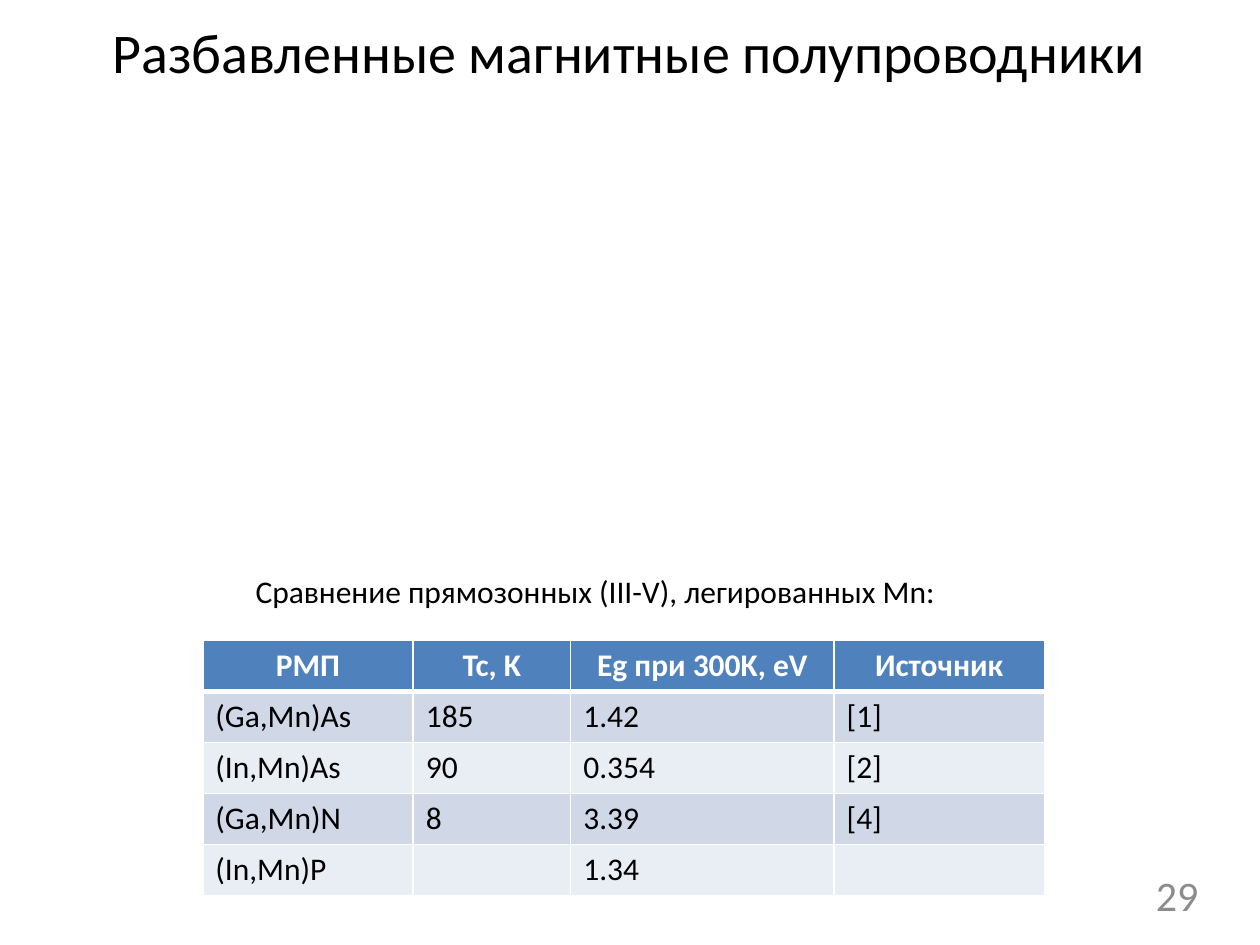
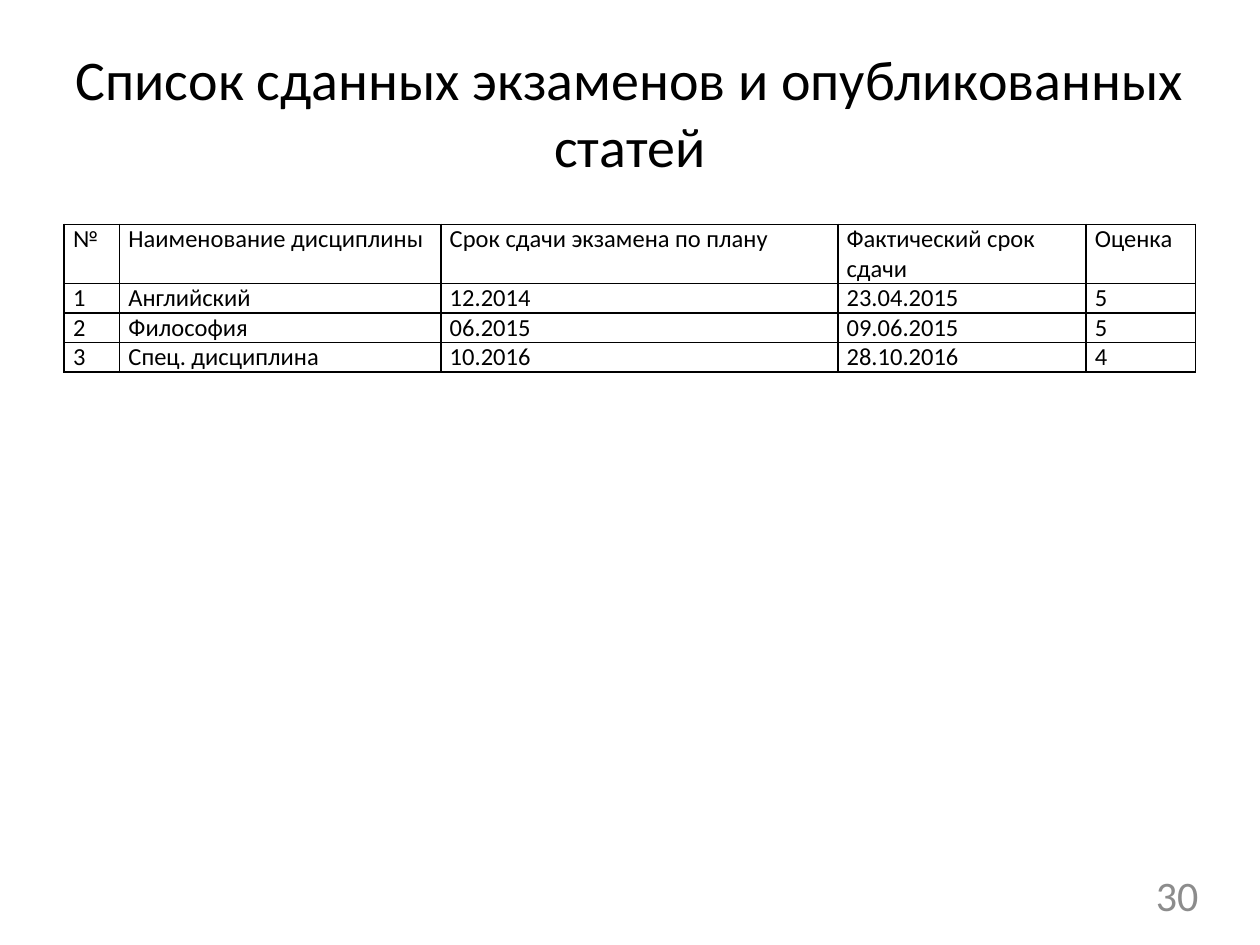
from lxml.etree import SubElement
from pptx import Presentation
from pptx.dml.color import RGBColor
from pptx.enum.text import MSO_ANCHOR, PP_ALIGN
from pptx.oxml.ns import qn
from pptx.util import Inches, Pt

BLACK = RGBColor(0x00, 0x00, 0x00)
WHITE = RGBColor(0xFF, 0xFF, 0xFF)
NUMBER_GREY = RGBColor(0x8C, 0x8C, 0x8C)
HEADER_BLUE = RGBColor(0x4F, 0x81, 0xBD)
BAND_DARK = RGBColor(0xD0, 0xD8, 0xE8)
BAND_LIGHT = RGBColor(0xE9, 0xED, 0xF4)

SLIDE_WIDTH, SLIDE_HEIGHT = Inches(10), Inches(7.5)
COLUMN, ROW = SLIDE_WIDTH / 100, SLIDE_HEIGHT / 75
NUMBER_AREA = (72.8, 69, 23.3, 4)

TITLE = {"size": Pt(32), "color": BLACK, "align": PP_ALIGN.CENTER}
NUMBER = {"size": Pt(24), "color": NUMBER_GREY, "align": PP_ALIGN.RIGHT}
CAPTION = {"size": Pt(18), "color": BLACK}
HEADER = {"size": Pt(18), "color": WHITE, "bold": True, "align": PP_ALIGN.CENTER}
EXAM = {"size": Pt(14), "color": BLACK}
EXAM_MARGINS = {"margin_left": Inches(0.07), "margin_right": Inches(0.07),
                "margin_top": 0, "margin_bottom": 0}
PLAIN_TABLE = {"first_row": False, "horz_banding": False}

SEMICONDUCTORS = [
    ("РМП", "Tc, K", "Eg при 300K, eV", "Источник"),
    ("(Ga,Mn)As", "185", "1.42", "[1]"),
    ("(In,Mn)As", "90", "0.354", "[2]"),
    ("(Ga,Mn)N", "8", "3.39", "[4]"),
    ("(In,Mn)P", "", "1.34", ""),
]
EXAMS = [
    ("№", "Наименование дисциплины", "Срок сдачи экзамена по плану",
     "Фактический срок сдачи", "Оценка"),
    ("1", "Английский", "12.2014", "23.04.2015", "5"),
    ("2", "Философия", "06.2015", "09.06.2015", "5"),
    ("3", "Спец. дисциплина", "10.2016", "28.10.2016", "4"),
]


def apply(target, values):
    for name, value in values.items():
        setattr(target, name, value)


def across(columns):
    return round(columns * COLUMN)


def down(rows):
    return round(rows * ROW)


def write(frame, text, look):
    paragraph = frame.paragraphs[0]
    paragraph.alignment = look.get("align", PP_ALIGN.LEFT)
    if text:
        run = paragraph.add_run()
        run.text = text
        apply(run.font, {"name": "Calibri", "size": look["size"],
                         "bold": look.get("bold", False)})
        run.font.color.rgb = look["color"]


def add_text(slide, text, area, look, anchor=MSO_ANCHOR.MIDDLE):
    left, top, width, height = area
    frame = slide.shapes.add_textbox(
        across(left), down(top), across(width), down(height)).text_frame
    apply(frame, {"word_wrap": True, "vertical_anchor": anchor})
    write(frame, text, look)


def add_slide(deck, title, title_area, number):
    slide = deck.slides.add_slide(deck.slide_layouts[6])
    add_text(slide, title, title_area, TITLE)
    add_text(slide, number, NUMBER_AREA, NUMBER)
    return slide


def add_borders(cell, color, widths):
    properties = cell._tc.get_or_add_tcPr()
    for side, width in widths.items():
        line = SubElement(properties, qn(f"a:ln{side}"), w=str(Pt(width)))
        fill = SubElement(line, qn("a:solidFill"))
        SubElement(fill, qn("a:srgbClr"), val=str(color))


def add_grid(slide, content, corner, widths, heights):
    left, top = corner
    table = slide.shapes.add_table(
        len(content), len(widths), across(left), down(top),
        across(sum(widths)), down(sum(heights))).table
    apply(table, PLAIN_TABLE)
    for column, width in zip(table.columns, widths):
        column.width = across(width)
    for row, height in zip(table.rows, heights):
        row.height = down(height)
    return table


def add_semiconductors(slide):
    table = add_grid(slide, SEMICONDUCTORS, (16.1, 50.8),
                     (16.7, 12.5, 20.9, 16.7), [4.06] * len(SEMICONDUCTORS))
    bands = (BAND_LIGHT, BAND_DARK)
    for index, values in enumerate(SEMICONDUCTORS):
        is_header = index == 0
        top = 3 if index == 1 else 1
        bottom = 3 if is_header else 1
        for cell, text in zip(table.rows[index].cells, values):
            add_borders(cell, WHITE, {"L": 1, "R": 1, "T": top, "B": bottom})
            cell.fill.solid()
            cell.fill.fore_color.rgb = HEADER_BLUE if is_header else bands[index % 2]
            write(cell.text_frame, text, HEADER if is_header else CAPTION)


def add_exams(slide):
    table = add_grid(slide, EXAMS, (5.1, 17.8),
                     (4.4, 25.5, 31.5, 19.7, 8.7), (4.7, 2.3, 2.3, 2.3))
    for row, values in zip(table.rows, EXAMS):
        for cell, text in zip(row.cells, values):
            add_borders(cell, BLACK, dict.fromkeys("LRTB", 1))
            cell.fill.background()
            apply(cell, EXAM_MARGINS)
            write(cell.text_frame, text, EXAM)


def main():
    deck = Presentation()
    apply(deck, {"slide_width": SLIDE_WIDTH, "slide_height": SLIDE_HEIGHT})

    materials = add_slide(deck, "Разбавленные магнитные полупроводники",
                          (3.5, 1.3, 92.9, 5.5), "29")
    add_text(materials, "Сравнение прямозонных (III-V), легированных Mn:",
             (19.3, 44.9, 60.6, 4), CAPTION, MSO_ANCHOR.TOP)
    add_semiconductors(materials)

    progress = add_slide(deck, "Список сданных экзаменов и опубликованных статей",
                         (5, 3.8, 90, 10.1), "30")
    add_exams(progress)

    deck.save("out.pptx")


if __name__ == "__main__":
    main()
